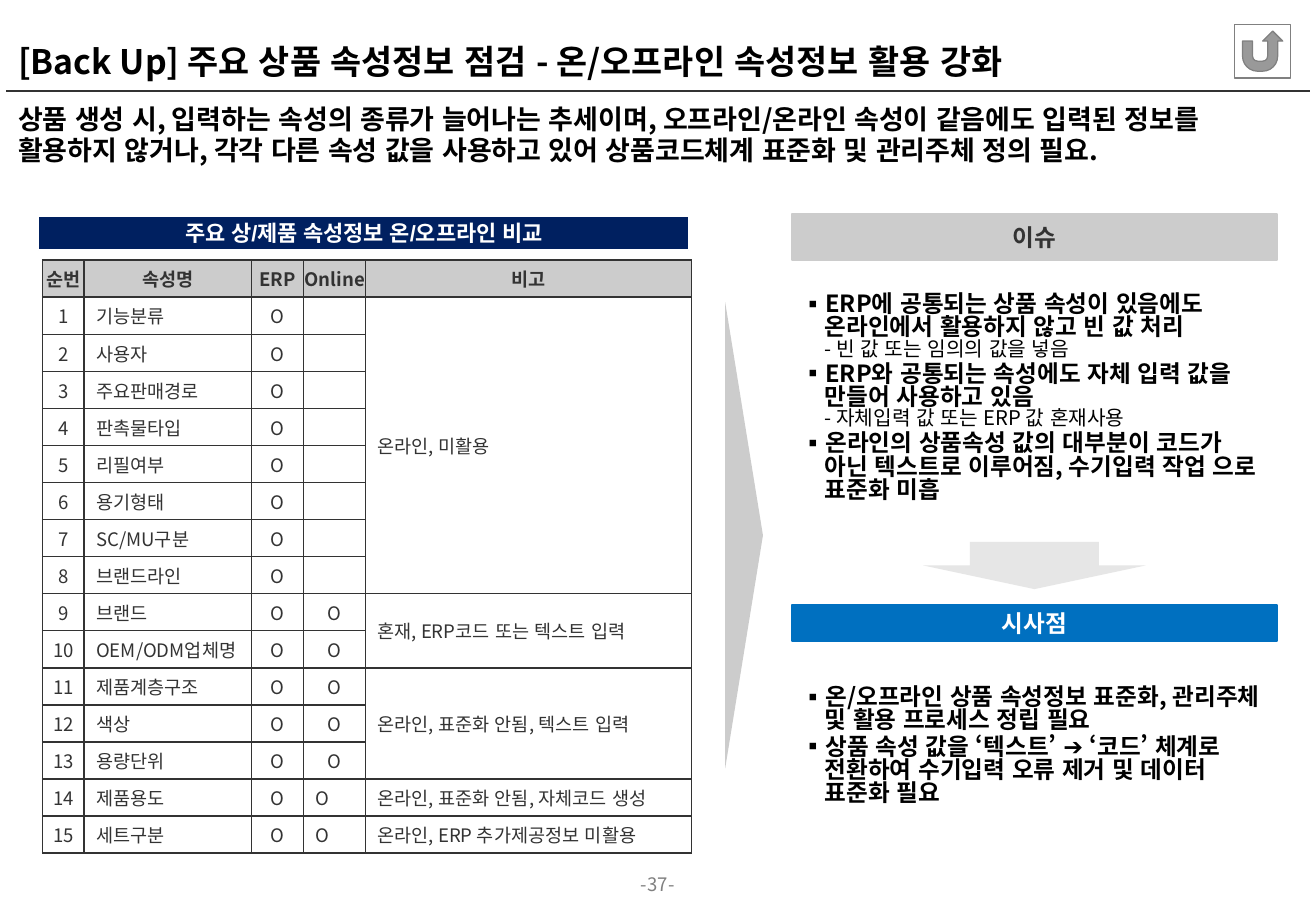
import dataclasses
import typing

import lxml.etree
import pptx
import pptx.dml.color
import pptx.enum.lang
import pptx.enum.shapes
import pptx.enum.text
import pptx.oxml.ns
import pptx.util

Cm = pptx.util.Cm
Pt = pptx.util.Pt
Shape = pptx.enum.shapes.MSO_SHAPE
Align = pptx.enum.text.PP_ALIGN
Anchor = pptx.enum.text.MSO_ANCHOR
qn = pptx.oxml.ns.qn

KOREAN_FONT = "Noto Sans CJK KR"
DARK, GREY, SILVER, WHITE, BLACK = "333333", "808080", "CCCCCC", "FFFFFF", "000000"


@dataclasses.dataclass
class Box:
    left: float
    top: float
    width: float
    height: float

    def lengths(self) -> list[pptx.util.Length]:
        return [Cm(value) for value in dataclasses.astuple(self)]


@dataclasses.dataclass
class Block:
    box: Box
    kind: Shape
    fill: str
    line: str | None = None
    line_width: float = 1
    adjustments: tuple[float, ...] = ()
    text: str = ""
    size: float = 14
    color: str = WHITE
    font: str = KOREAN_FONT


@dataclasses.dataclass
class Bullet:
    text: str
    detail: str = ""


@dataclasses.dataclass
class Remark:
    text: str
    rows: int
    online: str = ""
    online_inset: float = 0


BLOCKS = [
    Block(Box(0.81, 4.52, 13.59, 0.71), Shape.RECTANGLE, "002060", WHITE, 0.75,
          text="주요 상/제품 속성정보 온/오프라인 비교", size=13, font="Arial"),
    Block(Box(15.16, 6.32, 0.79, 9.75), Shape.RIGHT_ARROW, SILVER, adjustments=(1, 1)),
    Block(Box(16.56, 12.65, 10.13, 0.76), Shape.RECTANGLE, "0070C0", "0070C0", text="시사점"),
    Block(Box(19.3, 11.33, 4.65, 0.99), Shape.DOWN_ARROW, "E6E6E6", adjustments=(0.58, 0.5)),
    Block(Box(16.56, 4.47, 10.13, 0.97), Shape.RECTANGLE, SILVER, SILVER, text="이슈", color=DARK),
    Block(Box(25.81, 0.51, 1.17, 1.12), Shape.ACTION_BUTTON_RETURN, WHITE, GREY, 0.75),
]
ISSUES = [
    Bullet("ERP에 공통되는 상품 속성이 있음에도 온라인에서 활용하지 않고 빈 값 처리",
           "- 빈 값 또는 임의의 값을 넣음"),
    Bullet("ERP와 공통되는 속성에도 자체 입력 값을 만들어 사용하고 있음",
           "- 자체입력 값 또는 ERP 값 혼재사용"),
    Bullet("온라인의 상품속성 값의 대부분이 코드가 아닌 텍스트로 이루어짐, 수기입력 작업 으로 표준화 미흡"),
]
IMPLICATIONS = [
    Bullet("온/오프라인 상품 속성정보 표준화, 관리주체 및 활용 프로세스 정립 필요"),
    Bullet("상품 속성 값을 ‘텍스트’ ➔ ‘코드’ 체계로 전환하여 수기입력 오류 제거 및 데이터 표준화 필요"),
]
HEADINGS = ["순번", "속성명", "ERP", "Online", "비고"]
COLUMN_WIDTHS = [0.87, 3.5, 1.09, 1.29, 6.81]
ATTRIBUTES = ["기능분류", "사용자", "주요판매경로", "판촉물타입", "리필여부", "용기형태", "SC/MU구분",
              "브랜드라인", "브랜드", "OEM/ODM업체명", "제품계층구조", "색상", "용량단위", "제품용도", "세트구분"]
REMARKS = [
    Remark("온라인, 미활용", 8),
    Remark("혼재, ERP코드 또는 텍스트 입력", 2, "O"),
    Remark("온라인, 표준화 안됨, 텍스트 입력", 3, "O"),
    Remark("온라인, 표준화 안됨, 자체코드 생성", 1, "O", 0.5),
    Remark("온라인, ERP 추가제공정보 미활용", 1, "O", 0.5),
]


def rgb(value: str) -> pptx.dml.color.RGBColor:
    return pptx.dml.color.RGBColor.from_string(value)


def add_span(para: typing.Any, text: str, *, size: float, color: str = BLACK,
             bold: bool = False, font: str = KOREAN_FONT) -> None:
    span = para.add_run()
    span.text = text
    span.font.size = Pt(size)
    span.font.bold = bold
    span.font.name = font
    span.font.color.rgb = rgb(color)
    span.font.language_id = pptx.enum.lang.MSO_LANGUAGE_ID.KOREAN
    east_asian = lxml.etree.Element(qn("a:ea"), typeface=font)
    span.font._element.find(qn("a:latin")).addnext(east_asian)


def set_frame(frame: typing.Any, anchor: Anchor, horizontal: float, vertical: float) -> None:
    frame.word_wrap = True
    frame.vertical_anchor = anchor
    frame.margin_left = frame.margin_right = Cm(horizontal)
    frame.margin_top = frame.margin_bottom = Cm(vertical)


def add_label(page: typing.Any, box: Box, text: str, *, anchor: Anchor = Anchor.TOP,
              align: Align = Align.LEFT, inset: tuple[float, float] = (0.25, 0.13),
              spacing: float = 1.0, **style: typing.Any) -> None:
    frame = page.shapes.add_textbox(*box.lengths()).text_frame
    set_frame(frame, anchor, *inset)
    para = frame.paragraphs[0]
    para.alignment = align
    para.line_spacing = spacing
    add_span(para, text, **style)


def add_block(page: typing.Any, block: Block) -> None:
    shape = page.shapes.add_shape(block.kind, *block.box.lengths())
    shape.shadow.inherit = False
    for index, value in enumerate(block.adjustments):
        shape.adjustments[index] = value
    shape.fill.solid()
    shape.fill.fore_color.rgb = rgb(block.fill)
    if block.line:
        shape.line.color.rgb = rgb(block.line)
        shape.line.width = Pt(block.line_width)
    else:
        shape.line.fill.background()
    if block.text:
        set_frame(shape.text_frame, Anchor.MIDDLE, 0.2, 0)
        para = shape.text_frame.paragraphs[0]
        para.alignment = Align.CENTER
        add_span(para, block.text, size=block.size, color=block.color, bold=True, font=block.font)


def add_bullets(page: typing.Any, box: Box, bullets: list[Bullet]) -> None:
    frame = page.shapes.add_textbox(*box.lengths()).text_frame
    set_frame(frame, Anchor.MIDDLE, 0.2, 0.1)
    for index, bullet in enumerate(bullets):
        para = frame.add_paragraph() if index else frame.paragraphs[0]
        para.line_spacing = 0.82
        para.space_after = Pt(2)
        properties = para._p.get_or_add_pPr()
        properties.set("marL", str(Cm(0.48)))
        properties.set("indent", str(-Cm(0.48)))
        lxml.etree.SubElement(properties, qn("a:buFont"), typeface=KOREAN_FONT)
        lxml.etree.SubElement(properties, qn("a:buChar"), char="▪")
        add_span(para, bullet.text, size=14, bold=True)
        if bullet.detail:
            para.add_line_break()
            add_span(para, bullet.detail, size=12)


def fill_cell(cell: typing.Any, text: str, *, fill: str = WHITE, bold: bool = False,
              align: Align = Align.CENTER, left: float = 0, right: float = 0) -> None:
    cell.vertical_anchor = Anchor.MIDDLE
    cell.margin_left, cell.margin_right = Cm(left), Cm(right)
    cell.margin_top = cell.margin_bottom = 0
    para = cell.text_frame.paragraphs[0]
    para.alignment = align
    if text:
        add_span(para, text, size=11, color=DARK, bold=bold)
    else:
        lxml.etree.SubElement(para._p, qn("a:endParaRPr"), sz="1100")
    properties = cell._tc.get_or_add_tcPr()
    for side in ("a:lnL", "a:lnR", "a:lnT", "a:lnB"):
        border = lxml.etree.SubElement(properties, qn(side), w=str(Pt(1)))
        solid = lxml.etree.SubElement(border, qn("a:solidFill"))
        lxml.etree.SubElement(solid, qn("a:srgbClr"), val=DARK)
    cell.fill.solid()
    cell.fill.fore_color.rgb = rgb(fill)


def add_attribute_table(page: typing.Any, box: Box) -> None:
    row_count = len(ATTRIBUTES) + 1
    table = page.shapes.add_table(row_count, len(HEADINGS), *box.lengths()).table
    table.first_row = table.horz_banding = False
    for column, width in zip(table.columns, COLUMN_WIDTHS):
        column.width = Cm(width)
    for row in table.rows:
        row.height = Cm(box.height / row_count)
    for index, heading in enumerate(HEADINGS):
        fill_cell(table.cell(0, index), heading, fill=SILVER, bold=True)
    number = 1
    for remark in REMARKS:
        first, last = number, number + remark.rows - 1
        for number in range(first, last + 1):
            fill_cell(table.cell(number, 0), str(number))
            fill_cell(table.cell(number, 1), ATTRIBUTES[number - 1], align=Align.LEFT, left=0.25)
            fill_cell(table.cell(number, 2), "O")
            fill_cell(table.cell(number, 3), remark.online, right=remark.online_inset)
            fill_cell(table.cell(number, 4), remark.text if number == first else "",
                      align=Align.LEFT, left=0.25)
        if last > first:
            table.cell(first, 4).merge(table.cell(last, 4))
        number = last + 1


def main() -> None:
    deck = pptx.Presentation()
    deck.slide_width, deck.slide_height = Cm(27.51), Cm(19.05)
    page = deck.slides.add_slide(deck.slide_layouts[6])
    add_label(page, Box(12.67, 18.26, 2.16, 0.56), "-37-", size=11, color=GREY,
              align=Align.CENTER, inset=(0, 0))
    rule = page.shapes.add_connector(pptx.enum.shapes.MSO_CONNECTOR.STRAIGHT,
                                     Cm(0.13), Cm(1.9), Cm(27.38), Cm(1.9))
    rule.line.color.rgb = rgb(DARK)
    rule.line.width = Pt(1)
    lxml.etree.SubElement(rule._element.spPr, qn("a:effectLst"))
    add_label(page, Box(0.13, 0.13, 27.23, 1.7),
              "[Back Up] 주요 상품 속성정보 점검 - 온/오프라인 속성정보 활용 강화",
              size=20, bold=True, anchor=Anchor.BOTTOM, spacing=0.85)
    add_label(page, Box(0.13, 2.05, 27.25, 1.42),
              "상품 생성 시, 입력하는 속성의 종류가 늘어나는 추세이며, 오프라인/온라인 속성이 같음에도 입력된 정보를 "
              "활용하지 않거나, 각각 다른 속성 값을 사용하고 있어 상품코드체계 표준화 및 관리주체 정의 필요.",
              size=16, bold=True, spacing=0.97)
    for block in BLOCKS:
        add_block(page, block)
    add_bullets(page, Box(16.56, 5.46, 10.13, 5.74), ISSUES)
    add_bullets(page, Box(16.56, 13.69, 10.13, 3.84), IMPLICATIONS)
    add_attribute_table(page, Box(0.89, 5.44, 13.56, 12.4))
    deck.save("out.pptx")


if __name__ == "__main__":
    main()
